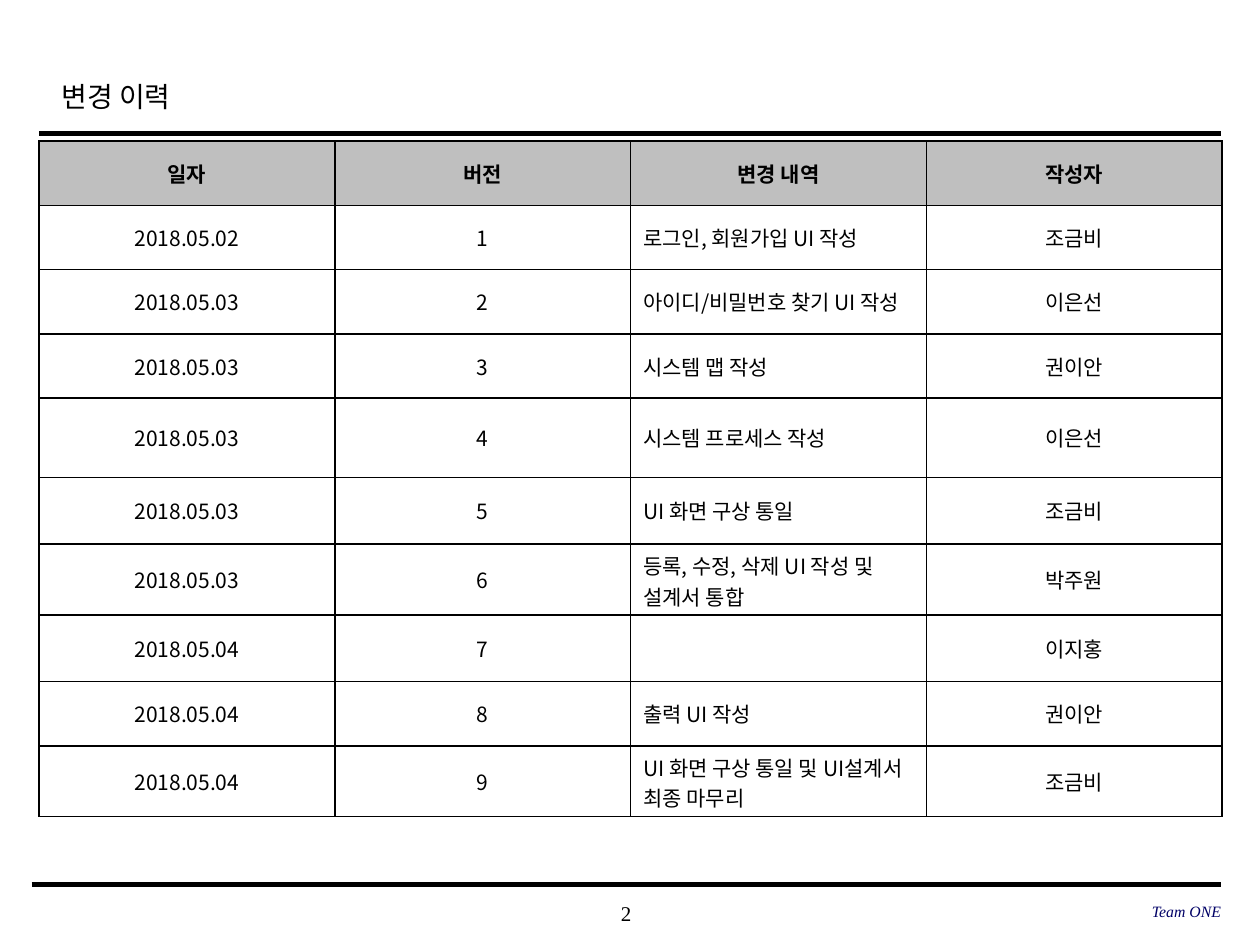
from typing import NamedTuple

from lxml.etree import SubElement
from pptx import Presentation
from pptx.dml.color import RGBColor
from pptx.enum.shapes import MSO_CONNECTOR
from pptx.enum.text import MSO_ANCHOR, PP_ALIGN
from pptx.oxml.ns import qn
from pptx.util import Inches, Pt

SERIF = "Times New Roman"
SANS = "Noto Sans CJK KR"
BLACK, WHITE, GRAY, NAVY = "000000", "FFFFFF", "BFBFBF", "000066"


class Rule(NamedTuple):
    left: float
    top: float
    right: float
    weight: float


class Label(NamedTuple):
    text: str
    left: float
    top: float
    width: float
    height: float
    inset: float
    style: dict


class Revision(NamedTuple):
    date: str
    version: str
    change: str
    author: str


RULES = [Rule(0.31, 1.06, 9.69, 2.5), Rule(0.25, 7.02, 9.69, 3)]

LABELS = [
    Label("변경 이력", 0.39, 0.49, 7.55, 0.5, 0.1,
          dict(size=16, line_spacing=1.2)),
    Label("2", 3.93, 7.08, 2.08, 0.33, 0,
          dict(size=12, align=PP_ALIGN.CENTER)),
    Label("Team ONE", 6.63, 7.07, 3.06, 0.33, 0,
          dict(size=9, align=PP_ALIGN.RIGHT, color=NAVY, italic=True)),
]

HEADER = Revision("일자", "버전", "변경 내역", "작성자")
REVISIONS = [
    Revision("2018.05.02", "1", "로그인, 회원가입 UI 작성", "조금비"),
    Revision("2018.05.03", "2", "아이디/비밀번호 찾기 UI 작성", "이은선"),
    Revision("2018.05.03", "3", "시스템 맵 작성", "권이안"),
    Revision("2018.05.03", "4", "시스템 프로세스 작성", "이은선"),
    Revision("2018.05.03", "5", "UI 화면 구상 통일", "조금비"),
    Revision("2018.05.03", "6", "등록, 수정, 삭제 UI 작성 및 설계서 통합", "박주원"),
    Revision("2018.05.04", "7", "", "이지홍"),
    Revision("2018.05.04", "8", "출력 UI 작성", "권이안"),
    Revision("2018.05.04", "9", "UI 화면 구상 통일 및 UI설계서 최종 마무리", "조금비"),
]
ROW_HEIGHTS = [0.51, 0.51, 0.51, 0.51, 0.63, 0.53, 0.56, 0.53, 0.51, 0.56]
TABLE_LEFT, TABLE_TOP, TABLE_WIDTH = 0.31, 1.12, 9.39
CHANGE_COLUMN = HEADER._fields.index("change")


def rgb(color: str) -> RGBColor:
    return RGBColor.from_string(color)


def write(frame, text: str, *, size: float, font: str = SERIF,
          color: str = BLACK, bold: bool = False, italic: bool = False,
          align=PP_ALIGN.LEFT, line_spacing: float = 1.0) -> None:
    paragraph = frame.paragraphs[0]
    paragraph.alignment = align
    paragraph.line_spacing = line_spacing
    run = paragraph.add_run()
    run.text = text
    run.font.size = Pt(size)
    run.font.bold = bold
    run.font.italic = italic
    run.font.color.rgb = rgb(color)
    run.font.name = font
    # Hangul takes its typeface from the East Asian font
    SubElement(run._r.get_or_add_rPr(), qn("a:ea"), typeface=SANS)


def draw_label(slide, label: Label) -> None:
    box = slide.shapes.add_textbox(Inches(label.left), Inches(label.top),
                                   Inches(label.width), Inches(label.height))
    frame = box.text_frame
    frame.word_wrap = True
    frame.vertical_anchor = MSO_ANCHOR.MIDDLE
    frame.margin_left = frame.margin_right = Inches(label.inset)
    frame.margin_top = frame.margin_bottom = Inches(label.inset / 2)
    write(frame, label.text, **label.style)


def draw_rule(slide, rule: Rule) -> None:
    line = slide.shapes.add_connector(
        MSO_CONNECTOR.STRAIGHT, Inches(rule.left), Inches(rule.top),
        Inches(rule.right), Inches(rule.top))
    line.line.color.rgb = rgb(BLACK)
    line.line.width = Pt(rule.weight)
    SubElement(line._element.spPr, qn("a:effectLst"))


def add_borders(cell, color: str, weight: float) -> None:
    properties = cell._tc.get_or_add_tcPr()
    for side in ("a:lnL", "a:lnR", "a:lnT", "a:lnB"):
        border = SubElement(properties, qn(side), w=str(Pt(weight)))
        fill = SubElement(border, qn("a:solidFill"))
        SubElement(fill, qn("a:srgbClr"), val=color)


def draw_history(slide, rows: list[Revision]) -> None:
    table = slide.shapes.add_table(
        len(rows), len(HEADER), Inches(TABLE_LEFT), Inches(TABLE_TOP),
        Inches(TABLE_WIDTH), Inches(sum(ROW_HEIGHTS))).table
    for column in table.columns:
        column.width = Inches(TABLE_WIDTH / len(HEADER))
    for r, (revision, height) in enumerate(zip(rows, ROW_HEIGHTS)):
        table.rows[r].height = Inches(height)
        is_header = r == 0
        for c, text in enumerate(revision):
            cell = table.cell(r, c)
            add_borders(cell, BLACK, 1)
            cell.fill.solid()
            cell.fill.fore_color.rgb = rgb(GRAY if is_header else WHITE)
            cell.vertical_anchor = MSO_ANCHOR.MIDDLE
            centred = is_header or c != CHANGE_COLUMN
            if text:
                write(cell.text_frame, text, size=12, font=SANS,
                      bold=is_header,
                      align=PP_ALIGN.CENTER if centred else PP_ALIGN.LEFT)


def main() -> None:
    deck = Presentation()
    deck.slide_width, deck.slide_height = Inches(10), Inches(7.5)
    slide = deck.slides.add_slide(deck.slide_layouts[6])

    # Rules under the title and above the footer
    for rule in RULES:
        draw_rule(slide, rule)

    # Title, page number and team name
    for label in LABELS:
        draw_label(slide, label)

    # Revision history
    draw_history(slide, [HEADER, *REVISIONS])

    deck.save("out.pptx")


if __name__ == "__main__":
    main()
